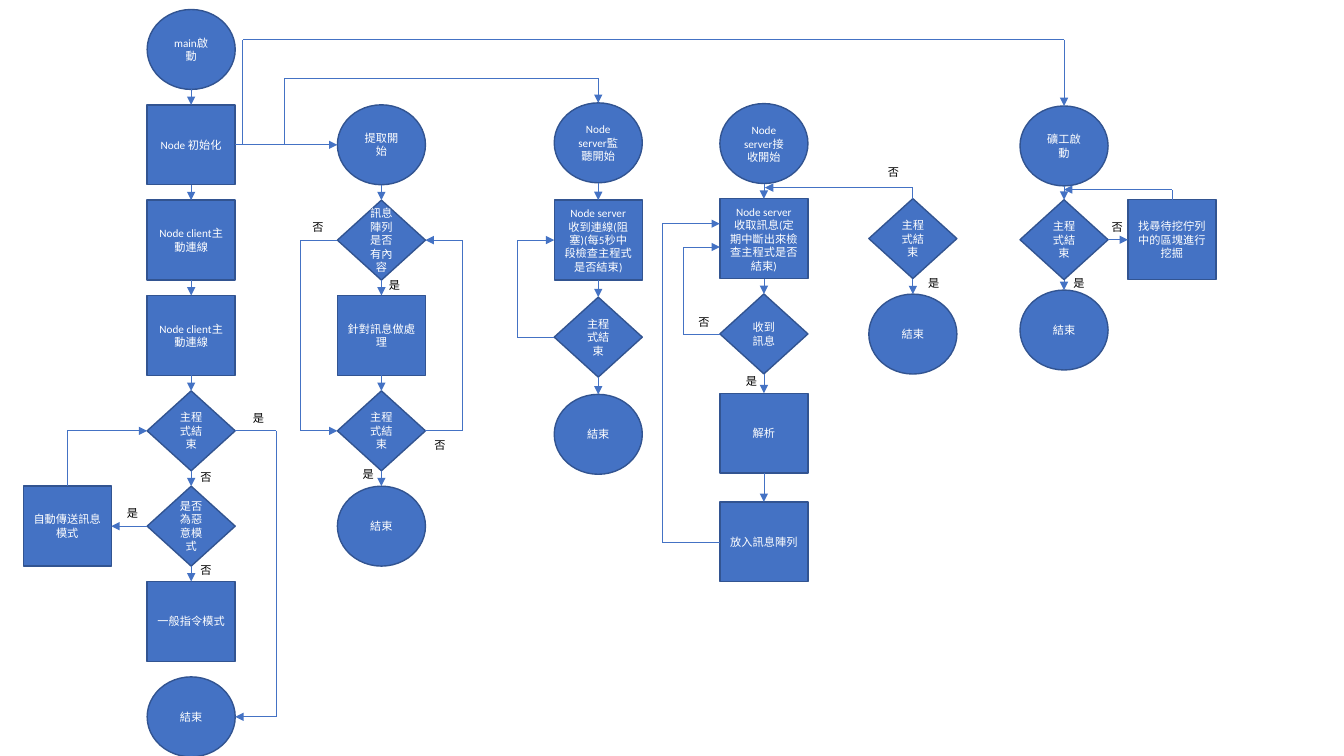
from lxml import etree
from pptx import Presentation
from pptx import util as u
from pptx.dml import color
from pptx.enum import shapes, text
from pptx.oxml import ns


class Theme:
    font = "Calibri"
    size = u.Pt(8)
    fill = color.RGBColor(0x44, 0x72, 0xC4)
    edge = color.RGBColor(0x32, 0x54, 0x91)
    light = color.RGBColor(0xFF, 0xFF, 0xFF)
    dark = color.RGBColor(0, 0, 0)
    edge_width = u.Pt(1)
    wire_width = u.Pt(0.5)


W, H = 62.9, 57.1
TOP, LEFT, BOTTOM, RIGHT = range(4)
OVAL, RECT = shapes.MSO_SHAPE.OVAL, shapes.MSO_SHAPE.RECTANGLE
DIAMOND, DECISION = shapes.MSO_SHAPE.DIAMOND, shapes.MSO_SHAPE.FLOWCHART_DECISION

prs = Presentation()
prs.slide_width, prs.slide_height = u.Pt(960), u.Pt(540)
s = prs.slides.add_slide(prs.slide_layouts[6])
nodes, ports = {}, {}


def write(sp, words, rgb):
    tf = sp.text_frame
    tf.word_wrap = True
    p = tf.paragraphs[0]
    r = p.add_run()
    r.text = words
    r.font.name, r.font.size, r.font.color.rgb = Theme.font, Theme.size, rgb
    return tf, p


def wire(*stops, arrow=True):
    points = [ports.get(stop, stop) for stop in stops]
    last = len(stops) - 2
    for i, (a, b) in enumerate(zip(points, points[1:])):
        c = s.shapes.add_connector(shapes.MSO_CONNECTOR.STRAIGHT, *map(u.Pt, a + b))
        for stop, join in ((stops[i], c.begin_connect), (stops[i + 1], c.end_connect)):
            if stop in ports and nodes[stop[0]].auto_shape_type != OVAL:
                join(nodes[stop[0]], stop[1])
        c.line.color.rgb, c.line.width = Theme.fill, Theme.wire_width
        if arrow and i == last:
            etree.SubElement(c.line._get_or_add_ln(), ns.qn("a:tailEnd"), type="triangle")
        etree.SubElement(c._element.spPr, ns.qn("a:effectLst"))


columns = [
    (105.1, 6.8, 68.1, [
        ("main", OVAL, "main啟動"),
        ("init", RECT, "Node 初始化"),
        ("client 1", RECT, "Node client主動連線"),
        ("client 2", RECT, "Node client主動連線"),
        ("main check", DIAMOND, "主程式結束"),
        ("malicious", DIAMOND, "是否為惡意模式"),
        ("command", RECT, "一般指令模式"),
        ("main end", OVAL, "結束")]),
    (16.6, 347.3, 0, [("auto", RECT, "自動傳送訊息模式")]),
    (241, 74.9, 68.1, [
        ("fetch", OVAL, "提取開始"),
        ("has content", DECISION, "訊息陣列是否有內容"),
        ("process", RECT, "針對訊息做處理"),
        ("fetch check", DIAMOND, "主程式結束"),
        ("fetch end", OVAL, "結束")]),
    (395.9, 73.5, 69.4, [
        ("listen", OVAL, "Node server監聽開始"),
        ("connected", RECT, "Node server 收到連線(阻塞)(每5秒中段檢查主程式是否結束)"),
        ("listen check", DIAMOND, "主程式結束"),
        ("listen end", OVAL, "結束")]),
    (514.2, 74, 68, [
        ("receive", OVAL, "Node server接收開始"),
        ("collect", RECT, "Node server 收取訊息(定期中斷出來檢查主程式是否結束)"),
        ("received", DIAMOND, "收到訊息")]),
    (514.2, 280.9, 77.6, [("parse step", RECT, "解析"), ("queue", RECT, "放入訊息陣列")]),
    (620.6, 141.9, 68.2, [("receive check", DIAMOND, "主程式結束"),
                          ("receive end", OVAL, "結束")]),
    (728.6, 75.7, 67, [("miner", OVAL, "礦工啟動"), ("miner check", DIAMOND, "主程式結束")]),
    (728.6, 207.2, 0, [("miner end", OVAL, "結束")]),
    (805.7, 142.7, 0, [("dig", RECT, "找尋待挖佇列中的區塊進行挖掘")]),
]
for x, top, step, items in columns:
    for i, (name, kind, words) in enumerate(items):
        y = top + i * step
        sp = s.shapes.add_shape(kind, *map(u.Pt, (x, y, W, H)))
        sp.shadow.inherit = False
        sp.fill.solid()
        sp.fill.fore_color.rgb = Theme.fill
        sp.line.color.rgb, sp.line.width = Theme.edge, Theme.edge_width
        tf, p = write(sp, words, Theme.light)
        tf.vertical_anchor = text.MSO_ANCHOR.MIDDLE
        p.alignment = text.PP_ALIGN.CENTER
        nodes[name] = sp
        ports[name, TOP] = (x + W / 2, y)
        ports[name, LEFT] = (x, y + H / 2)
        ports[name, BOTTOM] = (x + W / 2, y + H)
        ports[name, RIGHT] = (x + W, y + H / 2)

chains = [
    ["main", "init", "client 1", "client 2", "main check", "malicious", "command"],
    ["fetch", "has content", "process", "fetch check", "fetch end"],
    ["listen", "connected", "listen check", "listen end"],
    ["receive", "collect", "received", "parse step", "queue"],
    ["receive check", "receive end"],
    ["miner", "miner check", "miner end"],
]
for chain in chains:
    for upper, lower in zip(chain, chain[1:]):
        wire((upper, BOTTOM), (lower, TOP))

wire(("init", RIGHT), ("fetch", LEFT))
wire(("malicious", LEFT), ("auto", RIGHT))
wire(("miner check", RIGHT), ("dig", LEFT))
wire(("auto", TOP), (ports["auto", TOP][0], ports["main check", LEFT][1]),
     ("main check", LEFT))

side_lanes = [
    (("main check", RIGHT), 197.4, ("main end", RIGHT)),
    (("has content", LEFT), 214.6, ("fetch check", LEFT)),
    (("fetch check", RIGHT), 330.4, ("has content", RIGHT)),
    (("listen check", LEFT), 369.3, ("connected", LEFT)),
    (("received", LEFT), 488.2, (514.2, 176.4)),
    (("queue", LEFT), 473, (514.2, 159.8)),
]
for start, lane, end in side_lanes:
    wire(start, (lane, ports[start][1]), (lane, ports.get(end, end)[1]), end)

for lane, level, goal in [(203.2, 56, "listen"), (173.4, 28.4, "miner")]:
    wire((lane, ports["init", RIGHT][1]), (lane, level),
         (ports[goal, TOP][0], level), (goal, TOP))

for start, level, goal_x in [("receive check", 134, 546.4), ("dig", 135.4, 760)]:
    wire((start, TOP), (ports[start, TOP][0], level), (goal_x, level))

labels = {
    "是": [(173.5, 290.2), (83.5, 357.8), (525.6, 264.2), (759.6, 193.7),
          (270.7, 195.1), (252, 330.5), (655.9, 193.7)],
    "否": [(136.1, 332.6), (136.1, 398.9), (216, 154.1), (303.1, 309.6),
          (491.8, 221.8), (627.1, 114.5), (787, 154.1)],
}
for words, places in labels.items():
    for x, y in places:
        sp = s.shapes.add_textbox(*map(u.Pt, (x, y, 37.4, 17.3)))
        tf, p = write(sp, words, Theme.dark)
        tf.auto_size = text.MSO_AUTO_SIZE.SHAPE_TO_FIT_TEXT

prs.save("out.pptx")
